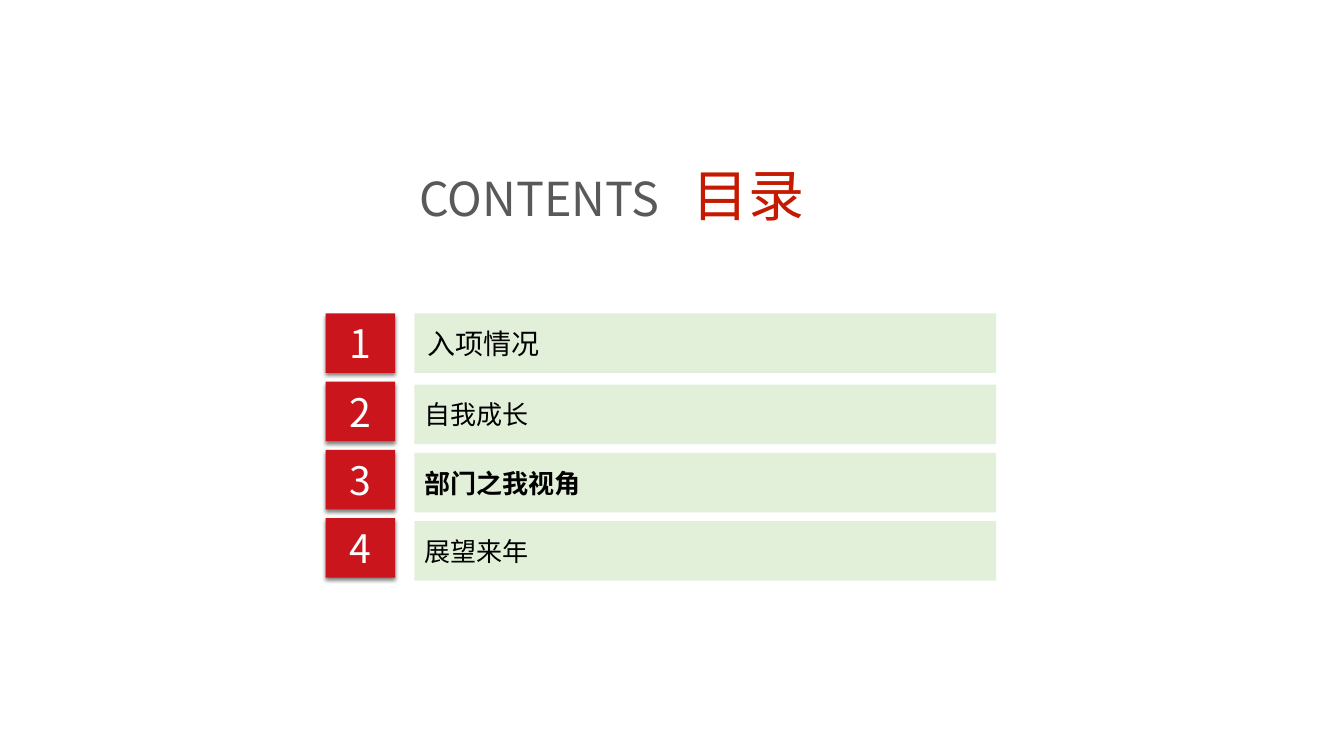
"""Build a contents slide with four numbered sections."""
from lxml.etree import SubElement
from pptx import Presentation
from pptx.dml.color import RGBColor
from pptx.enum.shapes import MSO_SHAPE
from pptx.enum.text import MSO_ANCHOR, MSO_AUTO_SIZE, PP_ALIGN
from pptx.oxml import parse_xml
from pptx.oxml.ns import qn
from pptx.util import Inches, Pt

FONT = "Noto Sans CJK SC"
NS = "http://schemas.openxmlformats.org/drawingml/2006/main"
SHADOW = (
    f'<a:effectLst xmlns:a="{NS}"><a:outerShdw blurRad="{Pt(3)}" dist="{Pt(2)}" '
    'dir="5400000" algn="t" rotWithShape="0"><a:srgbClr val="000000">'
    '<a:alpha val="50000"/></a:srgbClr></a:outerShdw></a:effectLst>'
)


def add_run(p, text, size, color, bold=False):
    r = p.add_run()
    r.text = text
    r.font.size = Pt(size)
    r.font.bold = bold
    r.font.name = FONT
    r.font.color.rgb = RGBColor.from_string(color)
    SubElement(r.font._element, qn("a:ea"), typeface=FONT)


def add_box(s, left, top, width, fill, inset, margin):
    sp = s.shapes.add_shape(MSO_SHAPE.RECTANGLE, Inches(left), Inches(top),
                            Inches(width), Inches(ROW_H))
    sp.fill.solid()
    sp.fill.fore_color.rgb = RGBColor.from_string(fill)
    sp.line.fill.background()
    sp.shadow.inherit = False
    tf = sp.text_frame
    tf.word_wrap = True
    tf.vertical_anchor = MSO_ANCHOR.MIDDLE
    tf.margin_left = Inches(inset)
    tf.margin_top = tf.margin_right = tf.margin_bottom = Inches(margin)
    return sp


prs = Presentation()
prs.slide_width, prs.slide_height = Inches(13.33), Inches(7.5)
s = prs.slides.add_slide(prs.slide_layouts[5])

title = s.shapes.title
title.left, title.top = Inches(4.14), Inches(1.57)
title.width, title.height = Inches(4.02), Inches(0.72)
tf = title.text_frame
tf.word_wrap = True
tf.auto_size = MSO_AUTO_SIZE.SHAPE_TO_FIT_TEXT
tf.vertical_anchor = MSO_ANCHOR.TOP
tf.margin_left = tf.margin_top = tf.margin_right = tf.margin_bottom = Inches(0.02)
p = tf.paragraphs[0]
p.alignment = PP_ALIGN.LEFT
tabs = SubElement(p._p.get_or_add_pPr(), qn("a:tabLst"))
SubElement(tabs, qn("a:tab"), pos=str(Inches(2.71)), algn="l")
add_run(p, "CONTENTS", 33.4, "595959")
add_run(p, "\t", 40, "D81E00")
add_run(p, "目录", 40, "C51A00")

TOP, LAST_TOP, ROW_H = 3.11, 5.14, 0.59
sections = [
    ("入项情况", 20, False, 0, 0.13, 0.04),
    ("自我成长", 18.6, False, 0.03, 0.1, 0.03),
    ("部门之我视角", 18.6, True, 0.03, 0.1, 0.03),
    ("展望来年", 18.6, False, 0.03, 0.1, 0.03),
]
pitch = (LAST_TOP - TOP) / (len(sections) - 1)

for i, (text, size, bold, drop, inset, margin) in enumerate(sections):
    top = TOP + i * pitch
    badge = add_box(s, 3.23, top, 0.69, "CA151D", 0.04, 0.04)
    badge.shadow.inherit = True
    badge._element.spPr.append(parse_xml(SHADOW))
    p = badge.text_frame.paragraphs[0]
    p.alignment = PP_ALIGN.CENTER
    add_run(p, str(i + 1), 28, "FFFFFF")

    label = add_box(s, 4.11, top + drop, 5.77, "E2F0D9", inset, margin)
    p = label.text_frame.paragraphs[0]
    p.alignment = PP_ALIGN.LEFT
    add_run(p, text, size, "000000", bold)

prs.save("out.pptx")
